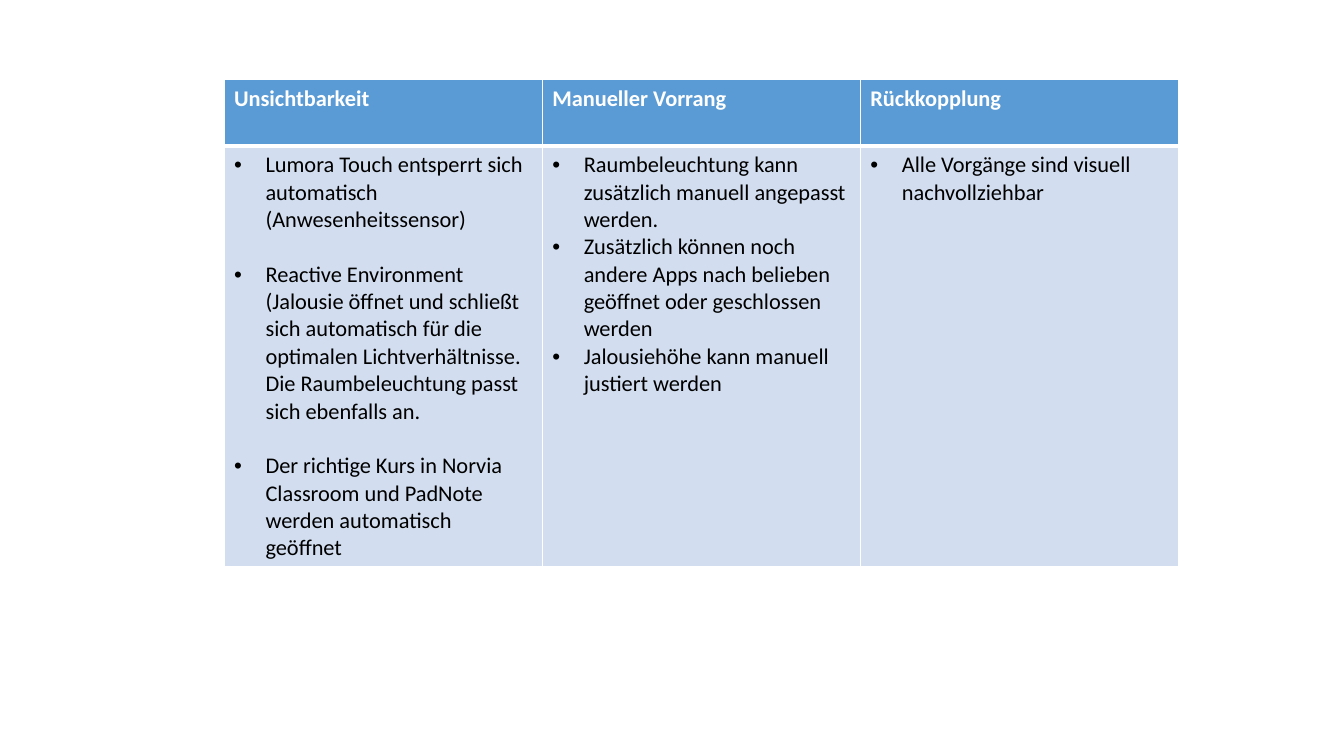
from lxml import etree
from pptx import Presentation
from pptx.dml.color import RGBColor
from pptx.oxml.ns import qn
from pptx.util import Pt

BLANK_LAYOUT = 6
WHITE, BLACK = "FFFFFF", "000000"
HEADER_FILL, BODY_FILL = "5B9BD5", "D2DEEF"
THIN, THICK = 1, 3

PRINCIPLES = {
    "Unsichtbarkeit": [
        "Lumora Touch entsperrt sich automatisch (Anwesenheitssensor)",
        "Reactive Environment (Jalousie öffnet und schließt sich automatisch "
        "für die optimalen Lichtverhältnisse. Die Raumbeleuchtung passt sich "
        "ebenfalls an.",
        "Der richtige Kurs in Norvia Classroom und PadNote werden "
        "automatisch geöffnet",
    ],
    "Manueller Vorrang": [
        "Raumbeleuchtung kann zusätzlich manuell angepasst werden.",
        "Zusätzlich können noch andere Apps nach belieben geöffnet oder "
        "geschlossen werden",
        "Jalousiehöhe kann manuell justiert werden",
    ],
    "Rückkopplung": ["Alle Vorgänge sind visuell nachvollziehbar"],
}
ITEM_GAPS = {"Unsichtbarkeit": 19.5}


def rgb(color):
    return RGBColor.from_string(color)


def write(paragraph, text, size=16, font="Calibri", color=BLACK, bold=False,
          bullet=None, indent=22.5, before=0):
    run = paragraph.add_run()
    run.text = text
    run.font.size = Pt(size)
    run.font.name = font
    run.font.bold = bold
    run.font.color.rgb = rgb(color)
    paragraph.space_before = Pt(before)
    if bullet:
        properties = paragraph._p.get_or_add_pPr()
        properties.set("marL", str(Pt(indent)))
        properties.set("indent", str(-Pt(indent)))
        etree.SubElement(properties, qn("a:buFont")).set("typeface", "Arial")
        etree.SubElement(properties, qn("a:buChar")).set("char", bullet)


class Deck:
    def __init__(self, width, height):
        self.presentation = Presentation()
        self.presentation.slide_width = Pt(width)
        self.presentation.slide_height = Pt(height)
        layout = self.presentation.slide_layouts[BLANK_LAYOUT]
        self.slide = self.presentation.slides.add_slide(layout)

    def table(self, left, top, column_width, column_count, row_heights):
        frame = self.slide.shapes.add_table(
            len(row_heights), column_count, Pt(left), Pt(top),
            Pt(column_width * column_count), Pt(sum(row_heights)))
        table = frame.table
        table.horz_banding = False
        for column in table.columns:
            column.width = Pt(column_width)
        for row, height in zip(table.rows, row_heights):
            row.height = Pt(height)
        return table

    def style_cell(self, cell, fill, top=THIN, bottom=THIN):
        """Fill the cell and give it white borders."""
        cell.fill.solid()
        cell.fill.fore_color.rgb = rgb(fill)
        properties = cell._tc.get_or_add_tcPr()
        borders = {"L": THIN, "R": THIN, "T": top, "B": bottom}
        for position, (side, width) in enumerate(borders.items()):
            line = etree.Element(qn(f"a:ln{side}"), w=str(Pt(width)))
            solid = etree.SubElement(line, qn("a:solidFill"))
            etree.SubElement(solid, qn("a:srgbClr")).set("val", WHITE)
            properties.insert(position, line)

    def save(self):
        self.presentation.save("out.pptx")


def main():
    deck = Deck(960, 540)
    table = deck.table(160, 57, 227.3, len(PRINCIPLES), [47.5, 300])
    for column, (principle, examples) in enumerate(PRINCIPLES.items()):
        heading, body = table.cell(0, column), table.cell(1, column)
        deck.style_cell(heading, HEADER_FILL, bottom=THICK)
        deck.style_cell(body, BODY_FILL, top=THICK)
        write(heading.text_frame.paragraphs[0], principle,
              color=WHITE, bold=True)
        for number, example in enumerate(examples):
            frame = body.text_frame
            paragraph = frame.add_paragraph() if number else frame.paragraphs[0]
            gap = ITEM_GAPS.get(principle, 0) if number else 0
            write(paragraph, example, bullet="•", before=gap)
    deck.save()


if __name__ == "__main__":
    main()
